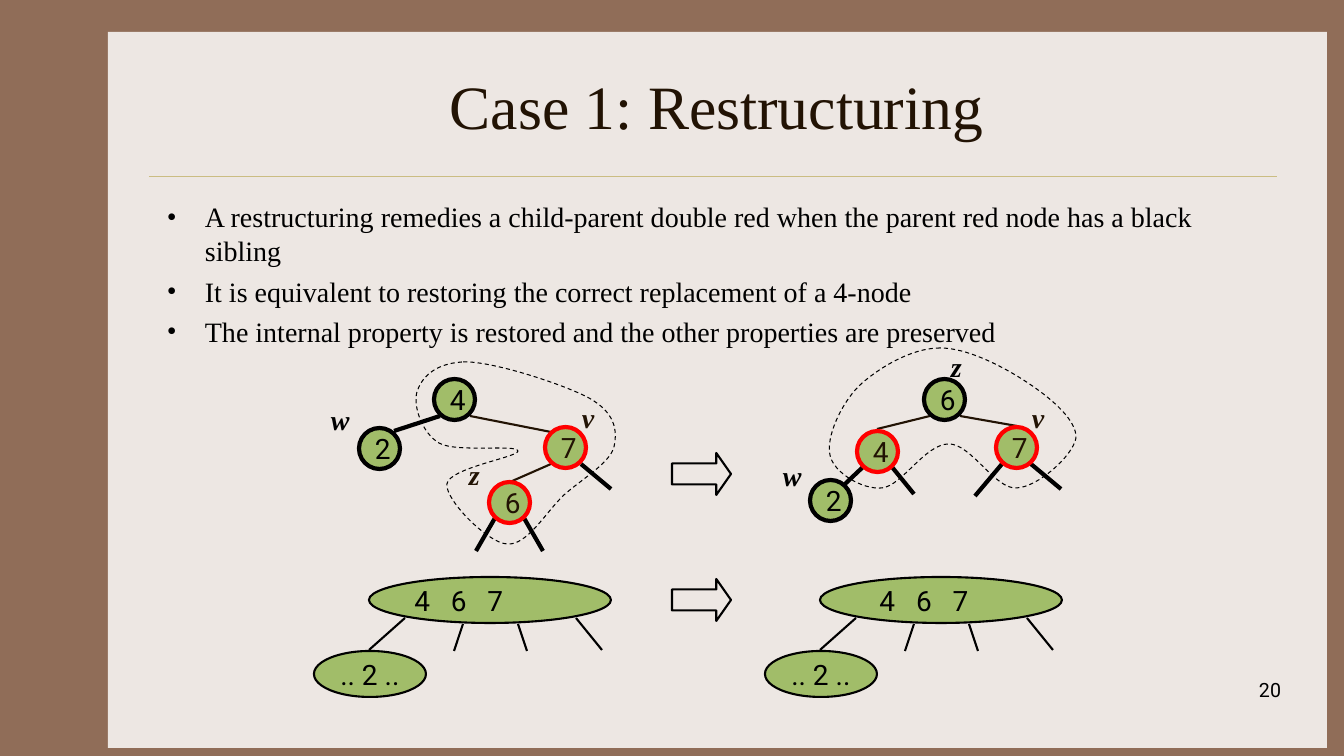
from lxml import etree
from pptx import Presentation
from pptx.dml.color import RGBColor
from pptx.enum.dml import MSO_LINE
from pptx.enum.shapes import MSO_CONNECTOR, MSO_SHAPE
from pptx.enum.text import MSO_ANCHOR, PP_ALIGN
from pptx.oxml.ns import qn
from pptx.util import Pt

PX = 12192000 / 1344
OVAL, RECT, ARROW = MSO_SHAPE.OVAL, MSO_SHAPE.RECTANGLE, MSO_SHAPE.RIGHT_ARROW
STRAIGHT, DASH = MSO_CONNECTOR.STRAIGHT, MSO_LINE.DASH
MIDDLE, TOP = MSO_ANCHOR.MIDDLE, MSO_ANCHOR.TOP
LEFT, CENTER, RIGHT = PP_ALIGN.LEFT, PP_ALIGN.CENTER, PP_ALIGN.RIGHT
SANS, SERIF = "Roboto", "Times New Roman"
HEX = {"back": "906D58", "page": "EDE7E3", "rule": "CBBD83", "brown": "221304",
       "black": "000000", "red": "FF0000", "green": "A1BD69"}
RGB = {name: RGBColor.from_string(code) for name, code in HEX.items()}

deck = Presentation()
deck.slide_width, deck.slide_height = round(1344 * PX), round(756 * PX)
slide = deck.slides.add_slide(deck.slide_layouts[6])
slide.background.fill.solid()
slide.background.fill.fore_color.rgb = RGB["back"]
shapes = slide.shapes


def draw(kind, box, fill=None, edge=None, width=1.5):
    shape = shapes.add_shape(kind, *[round(n * PX) for n in box])
    shape.shadow.inherit = False
    if fill:
        shape.fill.solid()
        shape.fill.fore_color.rgb = RGB[fill]
    else:
        shape.fill.background()
    if edge:
        shape.line.color.rgb = RGB[edge]
        shape.line.width = Pt(width)
    else:
        shape.line.fill.background()
    return shape


def write(para, text, size, font, color, align=LEFT):
    para.alignment = align
    run = para.add_run()
    run.text = text
    run.font.size, run.font.name = Pt(size), font
    run.font.color.rgb = RGB[color]
    return run


draw(RECT, (108, 32, 1219, 716), "page")

for box, text, size, font, color, align, anchor in [
    ((157, 42, 1120, 126), "Case 1: Restructuring", 44, SERIF, "brown", CENTER, MIDDLE),
    ((1011, 673, 280, 50), "20", 14, SANS, "black", RIGHT, TOP),
]:
    frame = shapes.add_textbox(*[round(n * PX) for n in box]).text_frame
    frame.word_wrap, frame.vertical_anchor = True, anchor
    write(frame.paragraphs[0], text, size, font, color, align)

body = shapes.add_textbox(*[round(n * PX) for n in (157, 195, 1120, 454)]).text_frame
body.word_wrap = True
for i, text in enumerate([
    "A restructuring remedies a child-parent double red when the parent red node has a black sibling",
    "It is equivalent to restoring the correct replacement of a 4-node",
    "The internal property is restored and the other properties are preserved",
]):
    para = body.add_paragraph() if i else body.paragraphs[0]
    props = para._p.get_or_add_pPr()
    props.set("marL", str(round(38 * PX)))
    props.set("indent", str(round(-38 * PX)))
    etree.SubElement(props, qn("a:buFont"), typeface=SERIF)
    etree.SubElement(props, qn("a:buChar"), char="•")
    para.font.size, para.font.name = Pt(20), SERIF
    if i:
        para.space_before = Pt(5)
    write(para, text, 20, SERIF, "black")

lines = [
    (149, 176, 1277, 176, "rule", 0.25),
    (470, 416, 551, 432, "brown", 1.5),
    (551, 464, 510, 482, "brown", 1.5),
    (524, 518, 543, 551, "black", 3),
    (495, 518, 476, 551, "black", 3),
    (581, 464, 611, 489, "black", 3),
    (440, 416, 394, 431, "black", 3),
    (877, 429, 930, 416, "brown", 1.5),
    (1017, 426, 960, 416, "brown", 1.5),
    (892, 467, 914, 494, "black", 3),
    (1002, 464, 975, 496, "black", 3),
    (1031, 464, 1061, 489, "black", 3),
    (863, 467, 845, 484, "black", 3),
]
ovals = [
    (434, 379, 41, 41, "4", "black", 3),
    (489, 482, 41, 41, "6", "red", 3),
    (545, 427, 41, 41, "7", "red", 3),
    (359, 428, 41, 41, "2", "black", 3),
    (857, 431, 41, 41, "4", "red", 3),
    (924, 379, 41, 41, "6", "black", 3),
    (996, 427, 41, 41, "7", "red", 3),
    (810, 480, 41, 41, "2", "black", 3),
]
for dx in (0, 451):
    for x1, y1, x2, y2 in [(405, 618, 369, 650), (576, 618, 602, 650),
                           (454, 651, 463, 624), (527, 651, 518, 624)]:
        lines.append((x1 + dx, y1, x2 + dx, y2, "black", 1.5))
    ovals.append((369 + dx, 577, 242, 46, "4   6   7", "black", 1.5))
    ovals.append((314 + dx, 651, 112, 46, ".. 2 ..", "black", 1.5))

for *ends, color, width in lines:
    link = shapes.add_connector(STRAIGHT, *[round(n * PX) for n in ends])
    link.line.color.rgb = RGB[color]
    link.line.width = Pt(width)
    etree.SubElement(link._element.spPr, qn("a:effectLst"))

for *box, text, edge, width in ovals:
    frame = draw(OVAL, box, "green", edge, width).text_frame
    frame.word_wrap, frame.vertical_anchor = False, MIDDLE
    if box[0] == 820:
        frame.margin_left = round(24 * PX)
    write(frame.paragraphs[0], text, 20, SANS, "brown" if edge == "red" else "black")

for x, y, text, color in [
    (459, 453, "z", "brown"), (572, 396, "v", "brown"), (321, 398, "w", "black"),
    (941, 345, "z", "black"), (1022, 396, "v", "brown"), (773, 454, "w", "black"),
]:
    frame = shapes.add_textbox(*[round(n * PX) for n in (x, y, 50, 43)]).text_frame
    frame.word_wrap = True
    run = write(frame.paragraphs[0], text, 20, SERIF, color)
    run.font.bold = run.font.italic = True

for y in (453, 579):
    arrow = draw(ARROW, (672, y, 59, 42), None, "black")
    arrow.adjustments[0], arrow.adjustments[1] = 0.5, 0.35

loops = [
    [(462, 362), (433, 364), (421, 379), (417, 392), (413, 406), (422, 433), (439, 443),
     (456, 453), (517, 444), (518, 451), (519, 457), (449, 468), (447, 484),
     (445, 500), (488, 543), (507, 544), (527, 546), (546, 512), (564, 495),
     (582, 479), (610, 463), (614, 447), (618, 429), (614, 412), (589, 398),
     (563, 384), (489, 360), (462, 362)],
    [(940, 348), (911, 348), (877, 369), (859, 386), (841, 404), (826, 437), (830, 455),
     (833, 472), (862, 490), (882, 488), (902, 486), (925, 444), (949, 444),
     (971, 444), (995, 489), (1016, 488), (1037, 488), (1073, 456), (1076, 438),
     (1077, 421), (1053, 400), (1031, 385), (1009, 370), (970, 348), (940, 348)],
]
for knots in loops:
    pen = shapes.build_freeform(*knots[0], scale=PX)
    pen.add_line_segments(knots[1:], close=True)
    loop = pen.convert_to_shape()
    legs = list(loop._element.iter(qn("a:lnTo")))
    for i in range(0, len(legs), 3):
        curve = etree.Element(qn("a:cubicBezTo"))
        legs[i].addprevious(curve)
        for leg in legs[i:i + 3]:
            curve.append(leg[0])
            leg.getparent().remove(leg)
    loop.shadow.inherit = False
    loop.fill.background()
    loop.line.color.rgb = RGB["black"]
    loop.line.width, loop.line.dash_style = Pt(0.75), DASH

deck.save("out.pptx")
